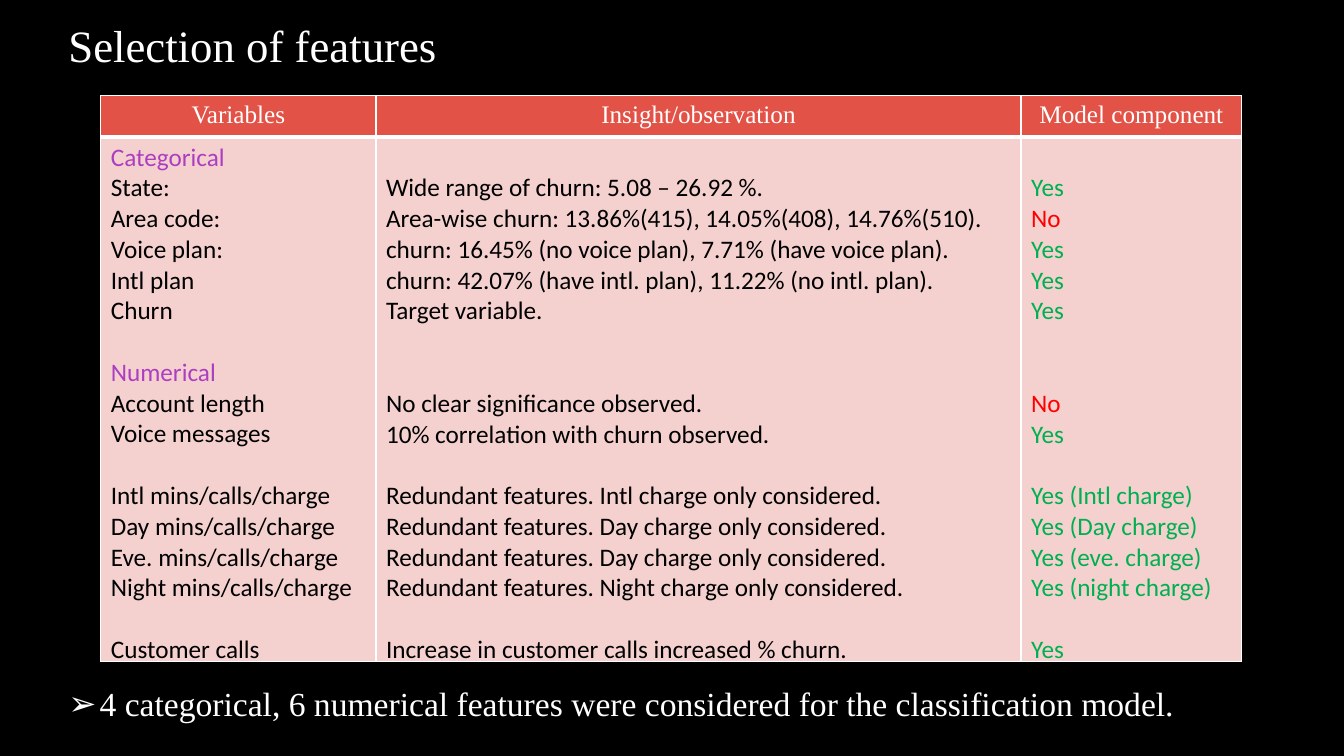
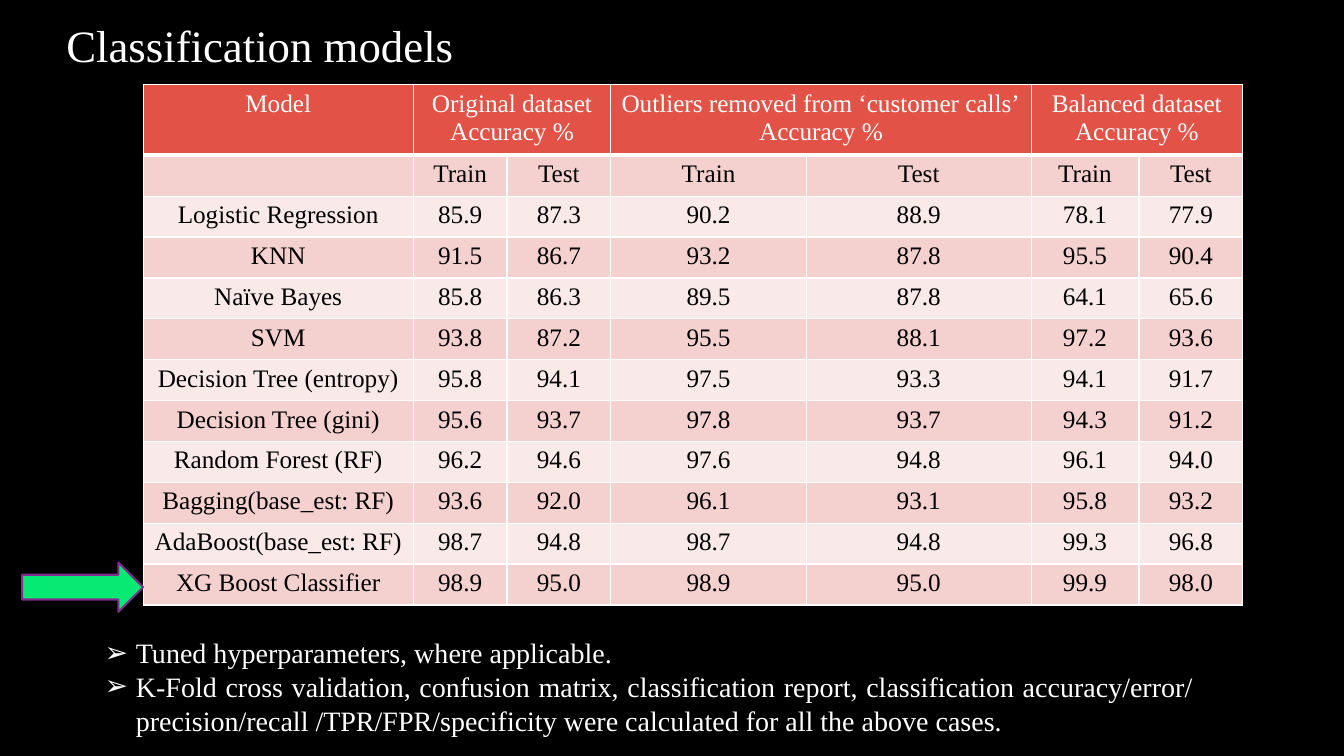
from dataclasses import dataclass

from lxml import etree
from pptx import Presentation
from pptx.dml.color import RGBColor
from pptx.enum.shapes import MSO_SHAPE
from pptx.enum.text import MSO_AUTO_SIZE, PP_ALIGN
from pptx.oxml.ns import qn
from pptx.util import Emu, Inches, Pt

COLS, ROWS = 160, 90
UNIT = Inches(1) // 12
LEFT, CENTER, JUSTIFY = PP_ALIGN.LEFT, PP_ALIGN.CENTER, PP_ALIGN.JUSTIFY
GROW = MSO_AUTO_SIZE.SHAPE_TO_FIT_TEXT
ARROW = MSO_SHAPE.RIGHT_ARROW
SERIF, SANS = "Times New Roman", "Calibri"
LINE = 22  # points per line of 18-point SANS
COLORS = {
    "back": "000000", "white": "FFFFFF", "text": "000000",
    "head": "E25247", "dark": "F4D1CF", "light": "FAE9E9",
    "group": "AC3EC1", "yes": "00B050", "no": "FF0000",
    "arrow": "06EA73", "edge": "7F2E8F",
}


@dataclass(frozen=True)
class Box:
    """A place in grid columns and rows."""
    x: float
    y: float
    w: float
    h: float

    def emu(self) -> tuple:
        return tuple(grid(n) for n in (self.x, self.y, self.w, self.h))


@dataclass(frozen=True)
class Style:
    size: int
    color: str
    face: str = SERIF
    align: PP_ALIGN = CENTER


@dataclass(frozen=True)
class Feature:
    name: str = ""
    note: str = ""
    use: str = ""


@dataclass(frozen=True)
class Score:
    """Train and test accuracy for each of the three data sets."""
    model: str
    values: tuple


TITLE = Style(32, "white", align=JUSTIFY)
HEAD = Style(18, "white")
CELL = Style(18, "text")

GAP = Feature()
FEATURES = [
    Feature("Categorical"),
    Feature("State:", "Wide range of churn: 5.08 – 26.92 %.", "Yes"),
    Feature("Area code:", "Area-wise churn: 13.86%(415), 14.05%(408), 14.76%(510).", "No"),
    Feature("Voice plan:", "churn: 16.45% (no voice plan), 7.71% (have voice plan).", "Yes"),
    Feature("Intl plan", "churn: 42.07% (have intl. plan), 11.22% (no intl. plan).", "Yes"),
    Feature("Churn", "Target variable.", "Yes"),
    GAP,
    Feature("Numerical"),
    Feature("Account length", "No clear significance observed.", "No"),
    Feature("Voice messages", "10% correlation with churn observed.", "Yes"),
    GAP,
    Feature("Intl mins/calls/charge",
            "Redundant features. Intl charge only considered.", "Yes (Intl charge)"),
    Feature("Day mins/calls/charge",
            "Redundant features. Day charge only considered.", "Yes (Day charge)"),
    Feature("Eve. mins/calls/charge",
            "Redundant features. Day charge only considered.", "Yes (eve. charge)"),
    Feature("Night mins/calls/charge",
            "Redundant features. Night charge only considered.", "Yes (night charge)"),
    GAP,
    Feature("Customer calls", "Increase in customer calls increased % churn.", "Yes"),
]
SETS = ["Original dataset", "Outliers removed from ‘customer calls’", "Balanced dataset"]
SCORES = [
    Score("Logistic Regression", (85.9, 87.3, 90.2, 88.9, 78.1, 77.9)),
    Score("KNN", (91.5, 86.7, 93.2, 87.8, 95.5, 90.4)),
    Score("Naïve Bayes", (85.8, 86.3, 89.5, 87.8, 64.1, 65.6)),
    Score("SVM", (93.8, 87.2, 95.5, 88.1, 97.2, 93.6)),
    Score("Decision Tree (entropy)", (95.8, 94.1, 97.5, 93.3, 94.1, 91.7)),
    Score("Decision Tree (gini)", (95.6, 93.7, 97.8, 93.7, 94.3, 91.2)),
    Score("Random Forest (RF)", (96.2, 94.6, 97.6, 94.8, 96.1, 94.0)),
    Score("Bagging(base_est: RF)", (93.6, 92.0, 96.1, 93.1, 95.8, 93.2)),
    Score("AdaBoost(base_est: RF)", (98.7, 94.8, 98.7, 94.8, 99.3, 96.8)),
    Score("XG Boost Classifier", (98.9, 95.0, 98.9, 95.0, 99.9, 98.0)),
]


def grid(count: float) -> Emu:
    return Emu(round(count * UNIT))


def rgb(name: str) -> RGBColor:
    return RGBColor.from_string(COLORS[name])


def paint(para, style: Style) -> None:
    para.alignment = style.align
    font = para.font
    font.name, font.size, font.bold = style.face, Pt(style.size), False
    font.color.rgb = rgb(style.color)


def bullet(para) -> None:
    props = para._p.get_or_add_pPr()
    indent = Inches(0.31)
    props.set("marL", str(indent))
    props.set("indent", str(-indent))
    etree.SubElement(props, qn("a:buFont")).set("typeface", "Arial")
    etree.SubElement(props, qn("a:buChar")).set("char", "➢")


def write(frame, lines: list, style: Style, marked: bool = False) -> None:
    for i, line in enumerate(lines):
        para = frame.add_paragraph() if i else frame.paragraphs[0]
        para.text = line
        if marked:
            bullet(para)
        paint(para, style)


def add_text(slide, box: Box, lines: list, style: Style, marked: bool = False) -> None:
    frame = slide.shapes.add_textbox(*box.emu()).text_frame
    frame.word_wrap = True
    frame.auto_size = GROW
    write(frame, lines, style, marked)


def add_slide(deck, title: str, left: float):
    slide = deck.slides.add_slide(deck.slide_layouts[6])
    fill = slide.background.fill
    fill.solid()
    fill.fore_color.rgb = rgb("back")
    add_text(slide, Box(left, 1.56, 141, 7.68), [title], TITLE)
    return slide


def border(cell, row: int) -> None:
    """Draw thin white edges, with a thick one under the header."""
    widths = {"L": 1, "R": 1, "T": 3 if row == 1 else 1, "B": 1 if row else 3}
    props = cell._tc.get_or_add_tcPr()
    for i, (side, width) in enumerate(widths.items()):
        line = etree.Element(qn(f"a:ln{side}"), w=str(Pt(width)))
        fill = etree.SubElement(line, qn("a:solidFill"))
        etree.SubElement(fill, qn("a:srgbClr")).set("val", COLORS["white"])
        props.insert(i, line)


def add_table(slide, box: Box, widths: list, heights: list):
    frame = slide.shapes.add_table(len(heights), len(widths), *box.emu())
    table = frame.table
    for col, width in zip(table.columns, widths):
        col.width = grid(width)
    for r, (row, height) in enumerate(zip(table.rows, heights)):
        row.height = grid(height)
        shade = "head" if r == 0 else "dark" if r % 2 else "light"
        for cell in row.cells:
            cell.fill.solid()
            cell.fill.fore_color.rgb = rgb(shade)
            border(cell, r)
    return table


def tint(text: str) -> str:
    if text in ("Categorical", "Numerical"):
        return "group"
    if text.startswith("Yes"):
        return "yes"
    return "no" if text == "No" else "text"


def stack(cell, lines: list) -> None:
    """Write lines so that an empty one becomes a gap above the next."""
    cell.margin_bottom = 0
    frame = cell.text_frame
    gap, first = 0, True
    for line in lines:
        if not line:
            gap += LINE
            continue
        para = frame.paragraphs[0] if first else frame.add_paragraph()
        para.text = line
        if first:
            cell.margin_top = Inches(0.05) + Pt(gap)
        elif gap:
            para.space_before = Pt(gap)
        paint(para, Style(18, tint(line), SANS, LEFT))
        gap, first = 0, False


def draw_features(deck) -> None:
    slide = add_slide(deck, "Selection of features", 6.96)
    widths = [32.76, 76.8, 26.28]
    heights = [4.92, 62.4]
    table = add_table(slide, Box(12, 11.4, sum(widths), sum(heights)), widths, heights)
    heads = ["Variables", "Insight/observation", "Model component"]
    for c, (head, field) in enumerate(zip(heads, ("name", "note", "use"))):
        write(table.cell(0, c).text_frame, [head], HEAD)
        stack(table.cell(1, c), [getattr(item, field) for item in FEATURES])
    add_text(slide, Box(6.96, 80.76, 134.28, 6), [
        "4 categorical, 6 numerical features were considered for the classification model.",
    ], Style(24, "white", align=JUSTIFY), marked=True)


def draw_models(deck) -> None:
    slide = add_slide(deck, "Classification models", 6.72)
    add_text(slide, Box(11.28, 75.12, 132, 13.32), [
        "Tuned hyperparameters, where applicable.",
        "K-Fold cross validation, confusion matrix, classification report, classification "
        "accuracy/error/ precision/recall /TPR/FPR/specificity were calculated for all "
        "the above cases.",
    ], Style(20, "white", align=JUSTIFY), marked=True)

    widths = [32.16, 11.16, 12.36, 23.28, 26.76, 12.84, 12.36]
    heights = [8.4] + [4.87] * (len(SCORES) + 1)
    table = add_table(slide, Box(17.04, 10.08, sum(widths), sum(heights)), widths, heights)
    write(table.cell(0, 0).text_frame, ["Model"], HEAD)
    for i, name in enumerate(SETS):
        c = 1 + 2 * i
        table.cell(0, c).merge(table.cell(0, c + 1))
        write(table.cell(0, c).text_frame, [name, "Accuracy %"], HEAD)
    body = [["", *["Train", "Test"] * len(SETS)]]
    body += [[s.model, *(f"{v:.1f}" for v in s.values)] for s in SCORES]
    for r, row in enumerate(body, 1):
        for c, text in enumerate(row):
            write(table.cell(r, c).text_frame, [text], CELL)

    arrow = slide.shapes.add_shape(ARROW, *Box(2.64, 66.96, 14.4, 5.88).emu())
    arrow.shadow.inherit = False
    arrow.fill.solid()
    arrow.fill.fore_color.rgb = rgb("arrow")
    arrow.line.color.rgb = rgb("edge")
    arrow.line.width = Pt(1.5)


def main() -> None:
    deck = Presentation()
    deck.slide_width, deck.slide_height = grid(COLS), grid(ROWS)
    draw_features(deck)
    draw_models(deck)
    deck.save("out.pptx")


if __name__ == "__main__":
    main()
